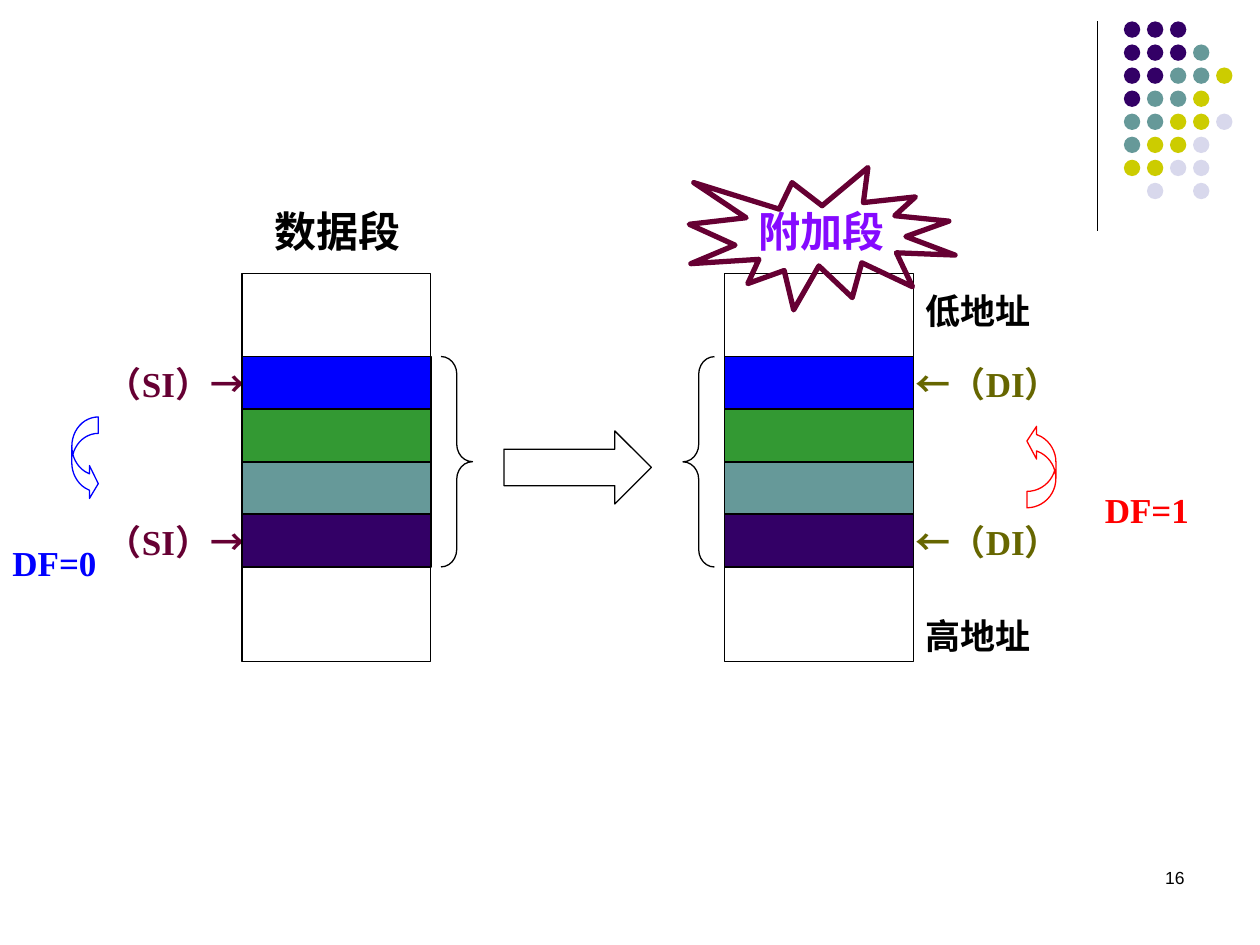
from lxml.etree import SubElement
from pptx import Presentation
from pptx.dml.color import RGBColor
from pptx.enum.shapes import MSO_CONNECTOR, MSO_SHAPE
from pptx.enum.text import PP_ALIGN
from pptx.oxml.ns import qn
from pptx.util import Inches, Pt

BLACK = RGBColor(0x00, 0x00, 0x00)
BLUE = RGBColor(0x00, 0x00, 0xFF)
RED = RGBColor(0xFF, 0x00, 0x00)
GREEN = RGBColor(0x33, 0x99, 0x33)
TEAL = RGBColor(0x66, 0x99, 0x99)
INDIGO = RGBColor(0x33, 0x00, 0x66)
YELLOW = RGBColor(0xCC, 0xCC, 0x00)
LAVENDER = RGBColor(0xD8, 0xD8, 0xEC)
MAROON = RGBColor(0x66, 0x00, 0x33)
OLIVE = RGBColor(0x66, 0x66, 0x00)
VIOLET = RGBColor(0x85, 0x0A, 0xFF)

DOT_COLORS = {"I": INDIGO, "T": TEAL, "Y": YELLOW, "L": LAVENDER}
DOT_ROWS = ["III", "IIIT", "IITTY", "ITTY", "TTYYL", "TYYL", "YYLL", " L L"]
BAND_COLORS = [BLUE, GREEN, TEAL, INDIGO]
BAND_TOP, BAND_H = 2.83, 1.67 / 4
BAND_BOTTOM = BAND_TOP + 3 * BAND_H


def add_shape(s, kind, box, fill=None, line=None, width=0.75, adj=(), rotation=0):
    """Place a preset shape in a box given in inches."""
    sp = s.shapes.add_shape(kind, *map(Inches, box))
    sp.shadow.inherit = False
    sp.rotation = rotation
    for i, value in enumerate(adj):
        sp.adjustments[i] = value
    if fill is None:
        sp.fill.background()
    else:
        sp.fill.solid()
        sp.fill.fore_color.rgb = fill
    if line is None:
        sp.line.fill.background()
    else:
        sp.line.color.rgb = line
        sp.line.width = Pt(width)
    return sp


def add_line(s, x1, y1, x2, y2):
    """Draw a thin black straight line."""
    cn = s.shapes.add_connector(MSO_CONNECTOR.STRAIGHT, *map(Inches, (x1, y1, x2, y2)))
    cn.line.color.rgb = BLACK
    cn.line.width = Pt(0.75)
    SubElement(cn._element.spPr, qn("a:effectLst"))


def add_text(s, box, text, color=BLACK, size=20, name="Times New Roman", bold=True,
             align=PP_ALIGN.LEFT):
    """Place one line of text in a box given in inches."""
    tf = s.shapes.add_textbox(*map(Inches, box)).text_frame
    tf.word_wrap = True
    p = tf.paragraphs[0]
    p.alignment = align
    r = p.add_run()
    r.text = text
    for key, value in {"size": Pt(size), "name": name, "bold": bold}.items():
        setattr(r.font, key, value)
    r.font.color.rgb = color


def add_dots(s, x, y, pitch=0.183, size=0.13):
    """Draw the corner dot pattern and the rule to its left."""
    add_line(s, x - 0.21, y, x - 0.21, y + 1.66)
    for row, codes in enumerate(DOT_ROWS):
        for col, code in enumerate(codes):
            if code in DOT_COLORS:
                box = (x + col * pitch, y + row * pitch, size, size)
                add_shape(s, MSO_SHAPE.OVAL, box, DOT_COLORS[code])


def add_segment(s, x, y, w, h):
    """Draw a memory segment with its dividers and coloured bands."""
    add_shape(s, MSO_SHAPE.RECTANGLE, (x, y, w, h), line=BLACK)
    for i in range(len(BAND_COLORS) + 1):
        divider = BAND_TOP + i * BAND_H
        add_line(s, x, divider, x + w, divider)
    for i, color in enumerate(BAND_COLORS):
        box = (x, BAND_TOP + i * BAND_H, w, BAND_H)
        add_shape(s, MSO_SHAPE.RECTANGLE, box, color, BLACK, 1)


def add_labels(s):
    """Write the segment titles, pointers, addresses and direction flags."""
    add_text(s, (2.08, 1.58, 1.5, 0.5), "数据段", size=24)
    add_text(s, (5.92, 1.58, 1.58, 0.5), "附加段", VIOLET, 24)
    for y in (BAND_TOP, BAND_BOTTOM):
        add_text(s, (0.75, y, 1.5, 0.43), "（SI）→", MAROON)
        add_text(s, (7.17, y, 1.5, 0.43), "←（DI）", OLIVE)
    for y, text in ((2.25, "低地址"), (4.83, "高地址")):
        add_text(s, (7.25, y, 1.92, 0.43), text)
    add_text(s, (0, 4.25, 1.33, 0.43), "DF=0", BLUE)
    add_text(s, (8.67, 3.83, 1.33, 0.43), "DF=1", RED)


def add_transfer(s):
    """Draw the braces, the block arrow and the direction arrows."""
    for x, rotation in ((3.5, 0), (5.42, 180)):
        add_shape(s, MSO_SHAPE.RIGHT_BRACE, (x, BAND_TOP, 0.25, 4 * BAND_H),
                  line=BLACK, adj=(0.556, 0.5), rotation=rotation)
    add_shape(s, MSO_SHAPE.RIGHT_ARROW, (4, 3.42, 1.17, 0.58), line=BLACK, adj=(0.5, 0.5))
    add_shape(s, MSO_SHAPE.CURVED_RIGHT_ARROW, (0.57, 3.31, 0.21, 0.66),
              line=BLUE, adj=(0.621, 1.243, 0.333))
    add_shape(s, MSO_SHAPE.CURVED_RIGHT_ARROW, (8.15, 3.37, 0.23, 0.66),
              line=RED, adj=(0.566, 1.131, 0.333), rotation=180)


def main():
    """Build the slide and save it."""
    prs = Presentation()
    prs.slide_width, prs.slide_height = Inches(10), Inches(7.5)
    s = prs.slides.add_slide(prs.slide_layouts[6])
    add_dots(s, 8.92, 0.17)
    add_labels(s)
    add_transfer(s)
    for x in (1.92, 5.75):
        add_segment(s, x, 2.17, 1.5, 3.08)
    add_shape(s, MSO_SHAPE.EXPLOSION1, (5.47, 1.33, 2.11, 1.13), line=MAROON, width=3)
    add_text(s, (7.17, 6.83, 2.33, 0.5), "16", size=10, name="Arial", bold=False,
             align=PP_ALIGN.RIGHT)
    prs.save("out.pptx")


if __name__ == "__main__":
    main()
